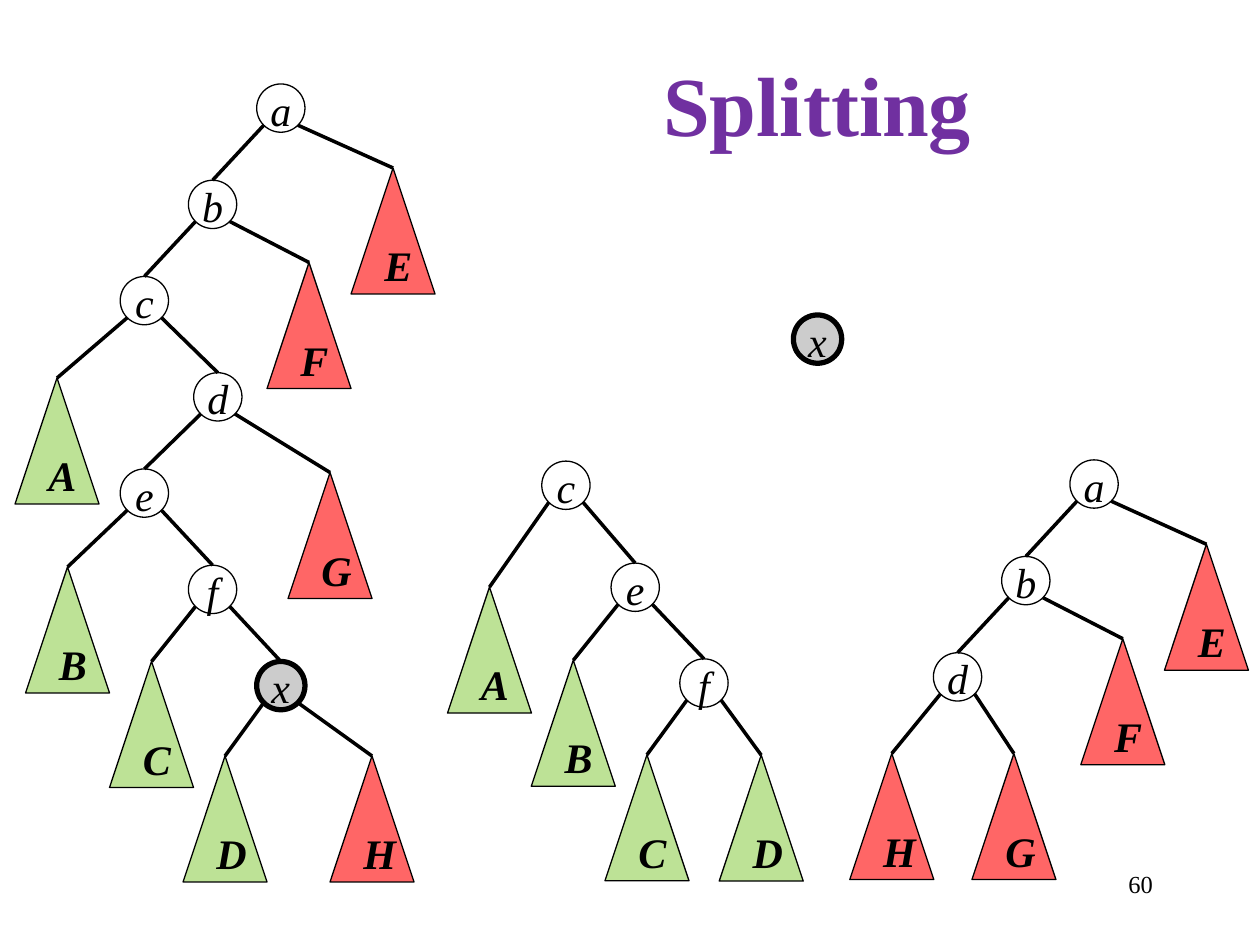
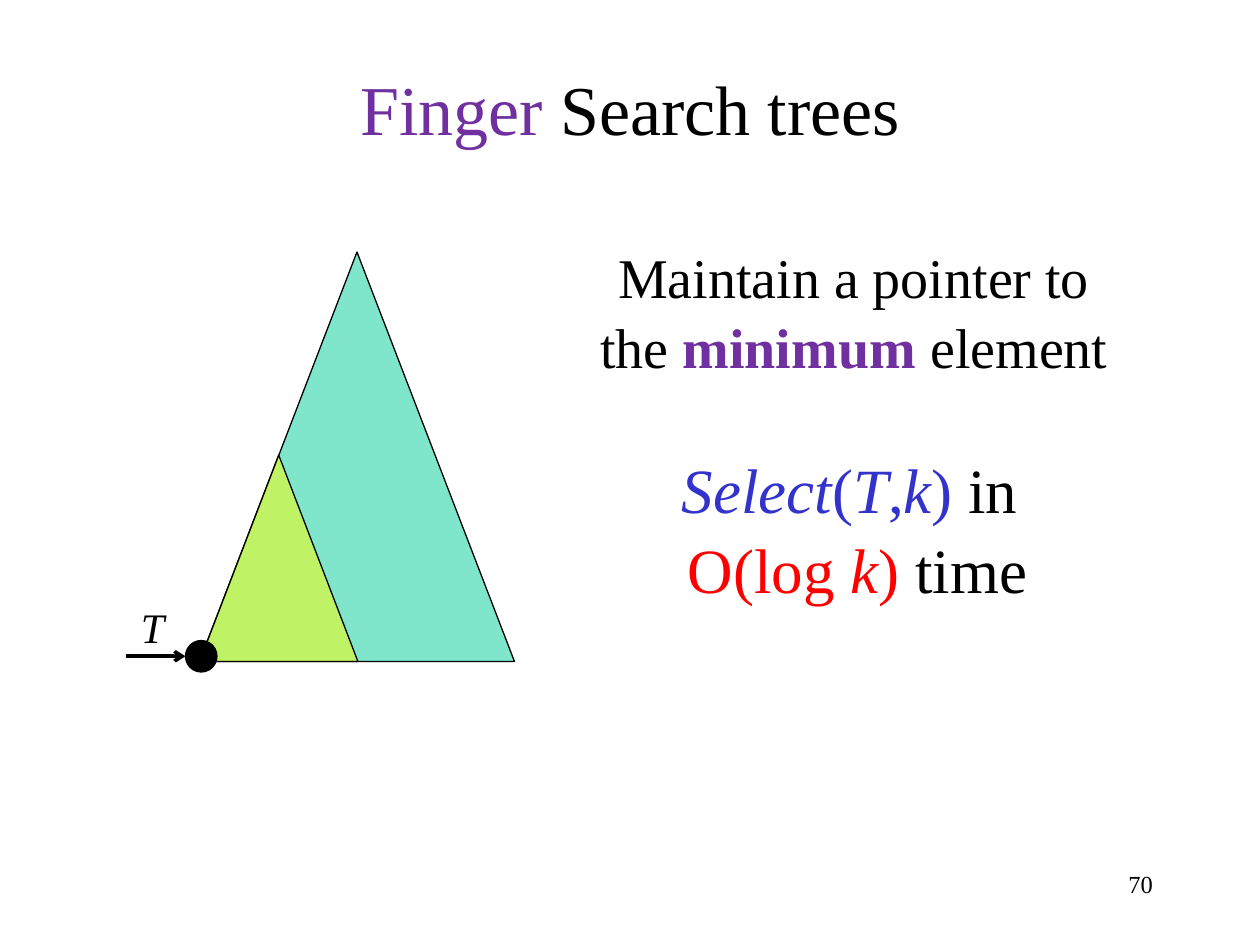
from math import sqrt

from lxml import etree
from pptx import Presentation
from pptx.dml.color import RGBColor
from pptx.enum.shapes import MSO_CONNECTOR, MSO_SHAPE
from pptx.enum.text import MSO_ANCHOR, MSO_AUTO_SIZE, PP_ALIGN
from pptx.oxml.ns import qn
from pptx.util import Pt

OVAL = MSO_SHAPE.OVAL
WEDGE = MSO_SHAPE.ISOSCELES_TRIANGLE
LINE = MSO_CONNECTOR.STRAIGHT
TOP, MIDDLE = MSO_ANCHOR.TOP, MSO_ANCHOR.MIDDLE
CENTER, RIGHT = PP_ALIGN.CENTER, PP_ALIGN.RIGHT
FIXED = MSO_AUTO_SIZE.NONE

FONT = "Times New Roman"
BLACK, PURPLE, GRAY = "000000", "7030A0", "CCCCCC"
GREEN, RED = "92D050", "FF0000"
BLUE, TEAL, YELLOW = "3333CC", "00CC99", "FFFF00"

NODE = 27.6              # diameter of a tree node
WIDE, HIGH = 48, 72      # size of a subtree

# Each tree: letter -> (centre x, top), and its edges as parent-child pairs.
# Small letters are nodes, capitals are subtrees.
FULL = {
    "a": (160.5, 48), "b": (121.5, 103), "c": (82.5, 158), "d": (124.5, 213),
    "e": (82.5, 268), "f": (121.5, 323), "x": (160.5, 378),
    "A": (32.6, 216), "B": (38.6, 324), "C": (86.6, 378), "D": (128.6, 432),
    "E": (224.6, 96), "F": (176.6, 150), "G": (188.6, 270), "H": (212.6, 432),
}
LOW = {
    "c": (323.4, 263.5), "e": (363, 321.8), "f": (402.3, 376.5),
    "A": (279.7, 335.5), "B": (327.6, 377.3), "C": (369.7, 431.3),
    "D": (435, 431.5),
}
TALL = {
    "a": (625.2, 262.8), "b": (586.2, 318), "d": (547.2, 373),
    "E": (689.4, 311), "F": (641.6, 365), "G": (579.4, 430.6),
    "H": (509.6, 430.6),
}
TREES = [
    (FULL, "ab aE bc bF cA cd de dG eB ef fC fx xD xH"),
    (LOW, "cA ce eB ef fC fD"),
    (TALL, "ab aE bd bF dH dG"),
    ({"x": (467.2, 180)}, ""),
]


def rgb(code):
    return RGBColor.from_string(code)


def write(frame, text, size=24, color=BLACK, bold=False, italic=False,
          align=CENTER, anchor=TOP, inset=None):
    """Fill a frame with a string, or with lines of (text, changes) runs."""
    frame.word_wrap = True
    frame.auto_size = FIXED
    frame.vertical_anchor = anchor
    if inset is not None:
        frame.margin_left = frame.margin_right = Pt(inset)
        frame.margin_top = frame.margin_bottom = Pt(inset)
    para = frame.paragraphs[0]
    para.alignment = align
    para.line_spacing = 1.05
    lines = [[(text, {})]] if isinstance(text, str) else text
    for row, line in enumerate(lines):
        if row:
            para.add_line_break()
        for part, change in line:
            run = para.add_run()
            run.text = part
            font = run.font
            font.name, font.size = FONT, Pt(size)
            font.color.rgb = rgb(change.get("color", color))
            font.bold = change.get("bold", bold)
            font.italic = change.get("italic", italic)


def label(slide, box, text, **style):
    shape = slide.shapes.add_textbox(*map(Pt, box))
    write(shape.text_frame, text, **style)


def head(slide, box, text, **style):
    title = slide.shapes.title
    title.left, title.top, title.width, title.height = map(Pt, box)
    write(title.text_frame, text, anchor=MIDDLE, **style)


def draw(slide, kind, box, fill=None, alpha=100, width=0.75):
    shape = slide.shapes.add_shape(kind, *map(Pt, box))
    shape.shadow.inherit = False
    shape.line.color.rgb = rgb(BLACK)
    shape.line.width = Pt(width)
    if fill is None:
        shape.fill.background()
        return shape
    shape.fill.solid()
    shape.fill.fore_color.rgb = rgb(fill)
    if alpha < 100:
        paint = shape._element.spPr.find(qn("a:solidFill"))[0]
        etree.SubElement(paint, qn("a:alpha"), val=str(alpha * 1000))
    return shape


def link(slide, start, end, arrow=False):
    line = slide.shapes.add_connector(LINE, *map(Pt, (*start, *end)))
    line.line.color.rgb = rgb(BLACK)
    line.line.width = Pt(2)
    if arrow:
        etree.SubElement(line.line._get_or_add_ln(), qn("a:tailEnd"),
                         type="arrow")
    etree.SubElement(line._element.spPr, qn("a:effectLst"))
    return line


def node(slide, name, x, top):
    look = {"fill": GRAY, "width": 3} if name == "x" else {}
    shape = draw(slide, OVAL, (x - NODE / 2, top, NODE, NODE), **look)
    write(shape.text_frame, name, italic=True, anchor=MIDDLE, inset=0)
    return shape


def wedge(slide, name, x, top):
    fill = GREEN if name in "ABCD" else RED
    shape = draw(slide, WEDGE, (x - WIDE / 2, top, WIDE, HIGH), fill, 60)
    write(shape.text_frame, name, bold=True, italic=True)
    return shape


def tree(slide, spots, edges):
    made = {}
    for name, spot in spots.items():
        make = node if name.islower() else wedge
        made[name] = make(slide, name, *spot)
    reach = NODE / 2 / sqrt(2)   # from a node's centre to its diagonal points
    for up, down in edges.split():
        x, top = spots[up]
        side = -reach if spots[down][0] < x else reach
        start = (x + side, top + NODE / 2 + reach)
        link(slide, start, spots[down]).end_connect(made[down], 0)


def page(deck, number):
    slide = deck.slides.add_slide(deck.slide_layouts[5])
    label(slide, (516, 492, 150, 36), number, size=14, align=RIGHT)
    return slide


def split(deck):
    slide = page(deck, "60")
    head(slide, (207.5, 24.5, 519, 65.5), "Splitting",
         size=48, color=PURPLE, bold=True)
    for spots, edges in TREES:
        tree(slide, spots, edges)


def finger(deck):
    slide = page(deck, "70")
    head(slide, (0, 30, 720, 60),
         [[("Finger", {"color": PURPLE}), (" Search trees", {})]], size=40)

    # Search tree with a pointer to its smallest element
    draw(slide, WEDGE, (114, 144, 180, 234), TEAL, 50)
    link(slide, (72, 375), (106, 375), arrow=True)
    label(slide, (70, 339, 34.5, 36), "T", italic=True)
    draw(slide, WEDGE, (114, 260, 90.5, 118), YELLOW, 50)
    draw(slide, OVAL, (106, 366, 18, 18), BLACK)

    # Claims
    label(slide, (333, 133, 310, 85),
          [[("Maintain a pointer to the ", {}),
            ("minimum", {"color": PURPLE, "bold": True}),
            (" element", {})]], size=32)
    call, cost = {"color": BLUE}, {"color": RED}
    slant = {"italic": True}
    label(slide, (335, 252, 310, 94.5),
          [[("Select", call | slant), ("(", call), ("T", call | slant),
            (",", call), ("k", call | slant), (")", call), (" in ", {})],
           [("O(log ", cost), ("k", cost | slant), (")", cost),
            (" time", {})]], size=36)


def main():
    deck = Presentation()
    deck.slide_width, deck.slide_height = Pt(720), Pt(540)
    split(deck)
    finger(deck)
    deck.save("out.pptx")


if __name__ == "__main__":
    main()
